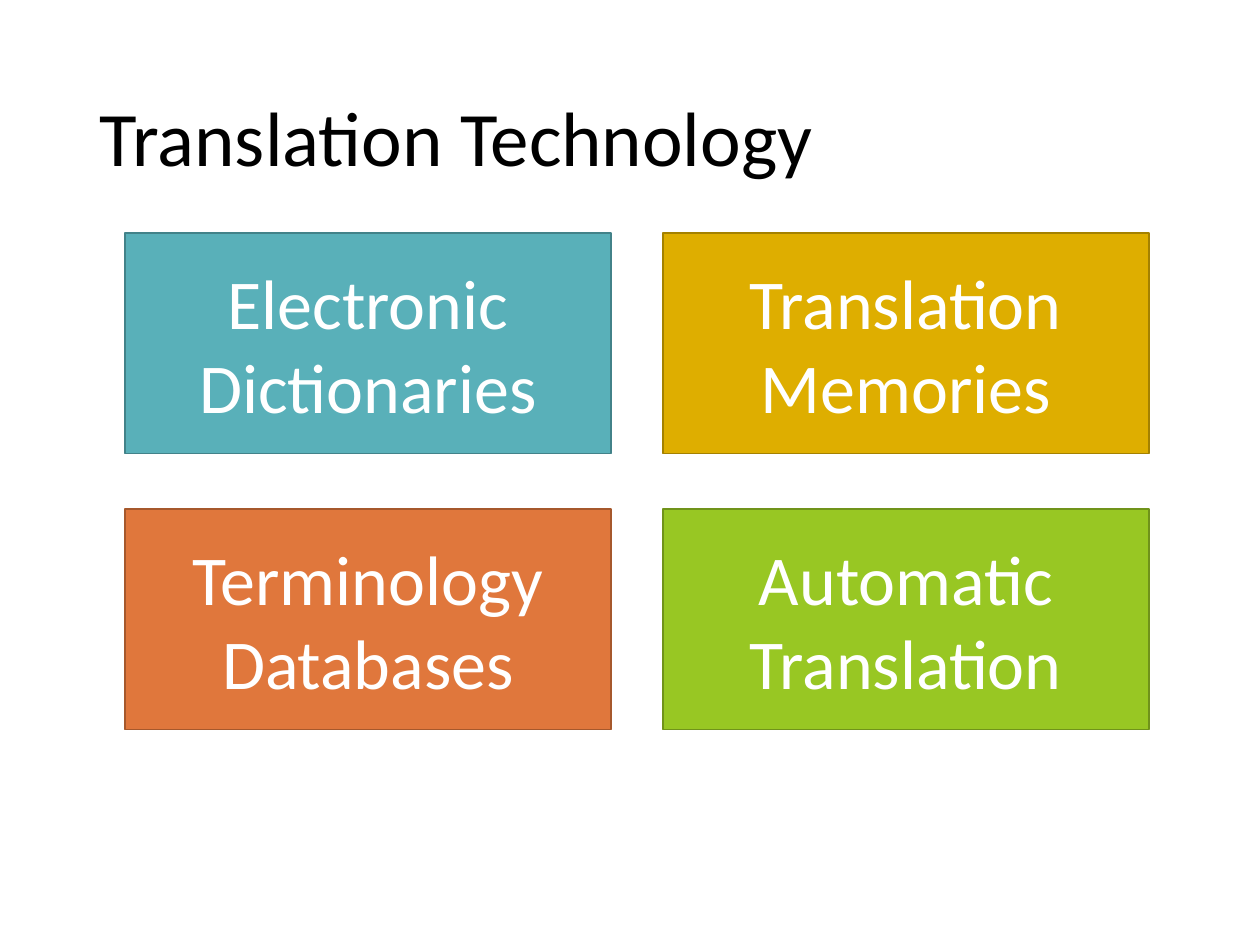
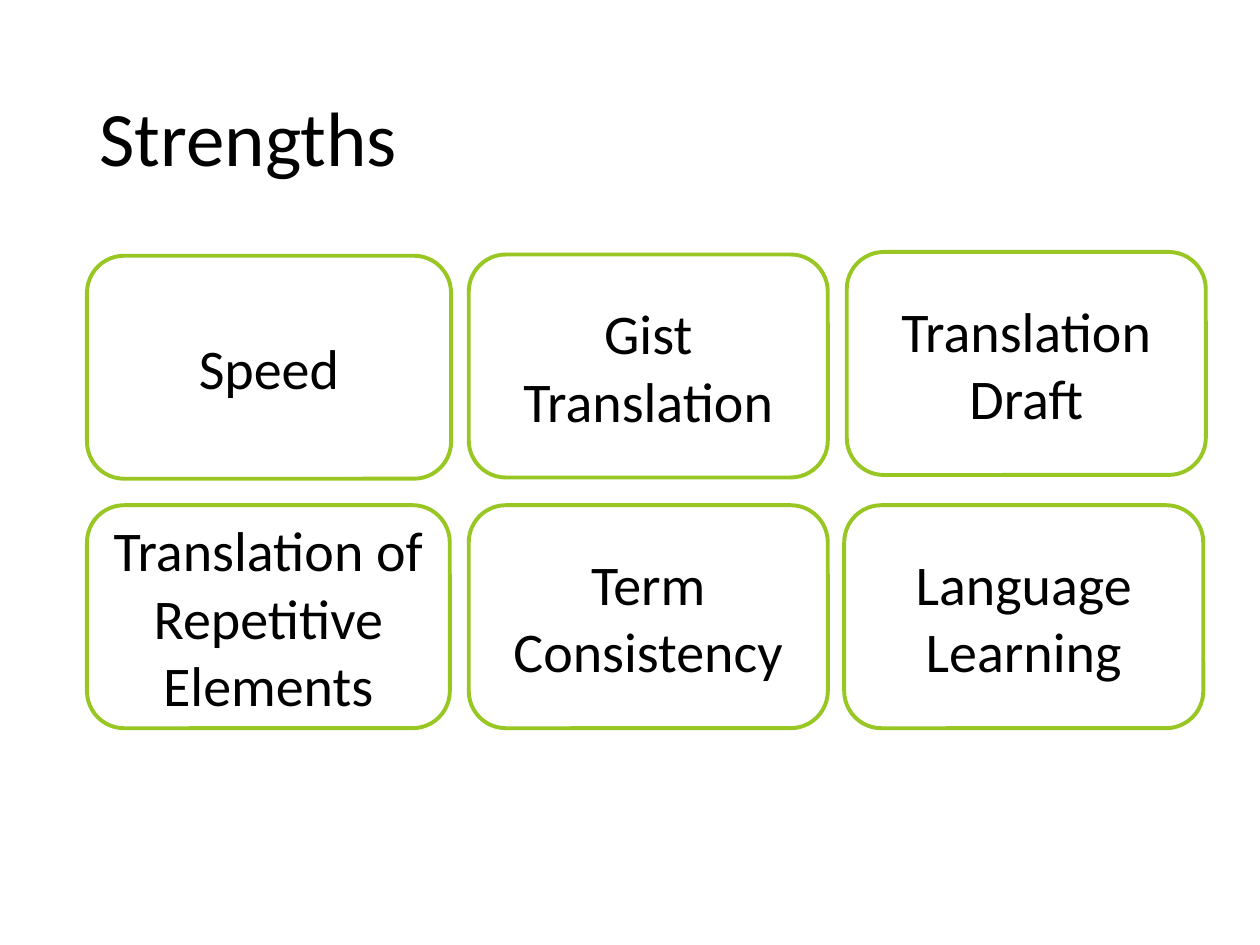
from pptx import Presentation
from pptx.dml.color import RGBColor
from pptx.enum.shapes import MSO_SHAPE
from pptx.enum.text import MSO_ANCHOR, PP_ALIGN
from pptx.util import Inches, Pt

RECTANGLE = MSO_SHAPE.RECTANGLE
ROUNDED = MSO_SHAPE.ROUNDED_RECTANGLE
MIDDLE = MSO_ANCHOR.MIDDLE
LEFT, CENTER = PP_ALIGN.LEFT, PP_ALIGN.CENTER

FONT = "Calibri"
BLACK = RGBColor(0x00, 0x00, 0x00)
WHITE = RGBColor(0xFF, 0xFF, 0xFF)
TEAL = RGBColor(0x59, 0xB0, 0xB9)
DARK_TEAL = RGBColor(0x42, 0x82, 0x89)
GOLD = RGBColor(0xDE, 0xAE, 0x00)
DARK_GOLD = RGBColor(0xA4, 0x81, 0x00)
ORANGE = RGBColor(0xE0, 0x77, 0x3C)
DARK_ORANGE = RGBColor(0xA6, 0x58, 0x2C)
GREEN = RGBColor(0x98, 0xC7, 0x23)
DARK_GREEN = RGBColor(0x70, 0x93, 0x1A)

presentation = Presentation()
presentation.slide_width = Inches(10)
presentation.slide_height = Inches(7.5)
TITLE_ONLY = presentation.slide_layouts[5]


def write(shape, text, size, color, alignment):
    frame = shape.text_frame
    frame.word_wrap = True
    frame.vertical_anchor = MIDDLE
    paragraph = frame.paragraphs[0]
    paragraph.alignment = alignment
    run = paragraph.add_run()
    run.text = text
    run.font.name = FONT
    run.font.size = Pt(size)
    run.font.color.rgb = color
    return paragraph


def add_card(slide, kind, box, fill, line, line_width):
    """Add an empty filled card; box is left, top, width, height in inches."""
    card = slide.shapes.add_shape(kind, *(Inches(length) for length in box))
    card.shadow.inherit = False
    card.fill.solid()
    card.fill.fore_color.rgb = fill
    card.line.color.rgb = line
    card.line.width = Pt(line_width)
    return card


# Both slides share the title style
slides = []
for heading in ("Translation Technology", "Strengths"):
    slide = presentation.slides.add_slide(TITLE_ONLY)
    title = slide.shapes.title
    title.left, title.top = Inches(0.69), Inches(0.4)
    title.width, title.height = Inches(8.62), Inches(1.45)
    write(title, heading, 44, BLACK, LEFT).line_spacing = 0.9
    slides.append(slide)
technology_slide, strengths_slide = slides

# Translation Technology: a grid of two by two coloured cards
technologies = [
    ("Electronic Dictionaries", TEAL, DARK_TEAL),
    ("Translation Memories", GOLD, DARK_GOLD),
    ("Terminology Databases", ORANGE, DARK_ORANGE),
    ("Automatic Translation", GREEN, DARK_GREEN),
]
for index, (name, fill, line) in enumerate(technologies):
    row, column = divmod(index, 2)
    box = (0.99 + 4.27 * column, 1.85 + 2.19 * row, 3.86, 1.75)
    card = add_card(technology_slide, RECTANGLE, box, fill, line, 1)
    write(card, name, 40, WHITE, CENTER)

# Strengths: outlined cards, with left, top and width for each
STRENGTH_HEIGHT = 1.77
strengths = [
    ("Speed", 0.69, 2.03, 2.89),
    ("Gist Translation", 3.72, 2.02, 2.85),
    ("Translation Draft", 6.72, 2.0, 2.85),
    ("Translation of Repetitive Elements", 0.69, 4.01, 2.88),
    ("Term Consistency", 3.72, 4.01, 2.85),
    ("Language Learning", 6.7, 4.01, 2.85),
]
for name, left, top, width in strengths:
    box = (left, top, width, STRENGTH_HEIGHT)
    card = add_card(strengths_slide, ROUNDED, box, WHITE, GREEN, 2.25)
    write(card, name, 32, BLACK, CENTER)

presentation.save("out.pptx")
